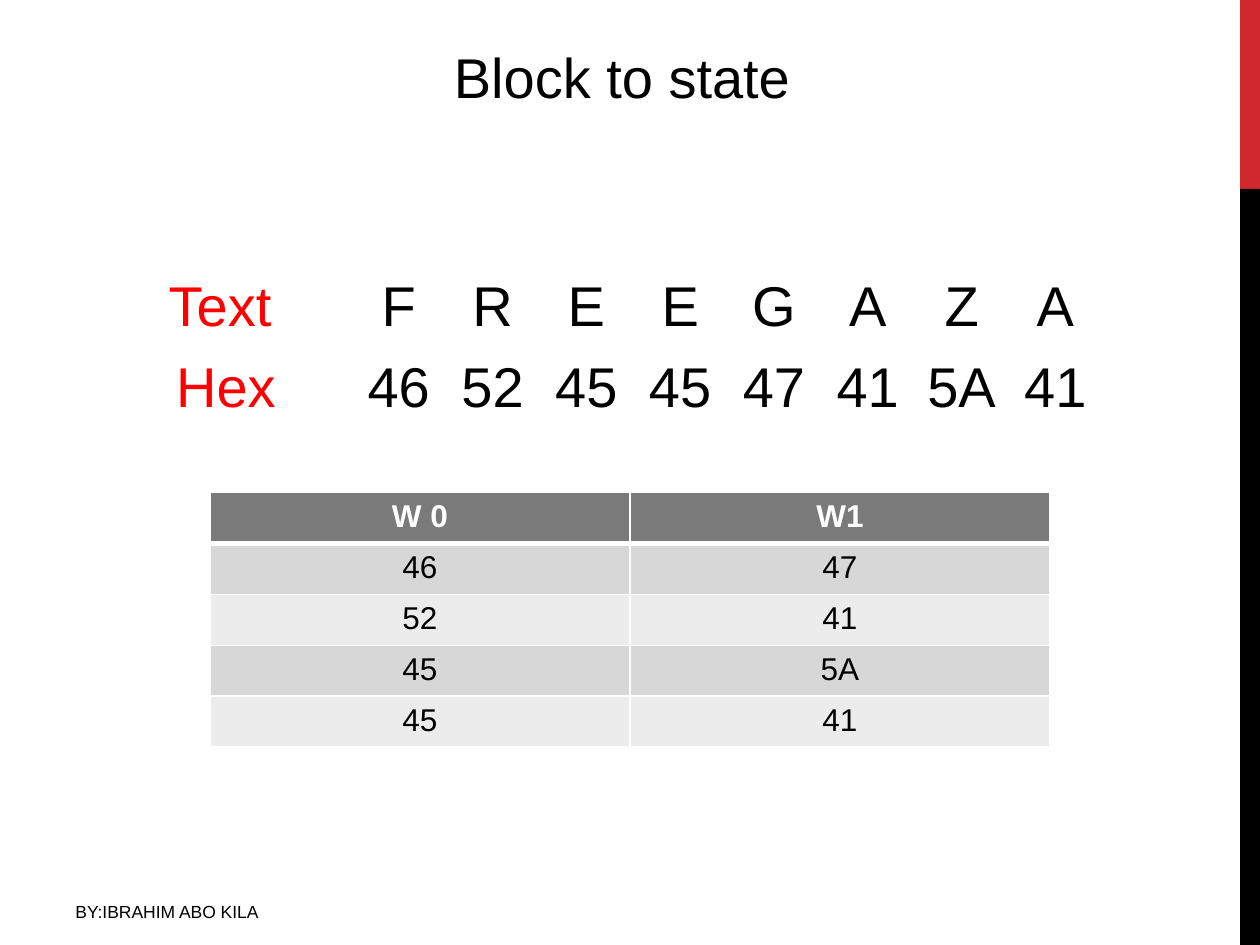
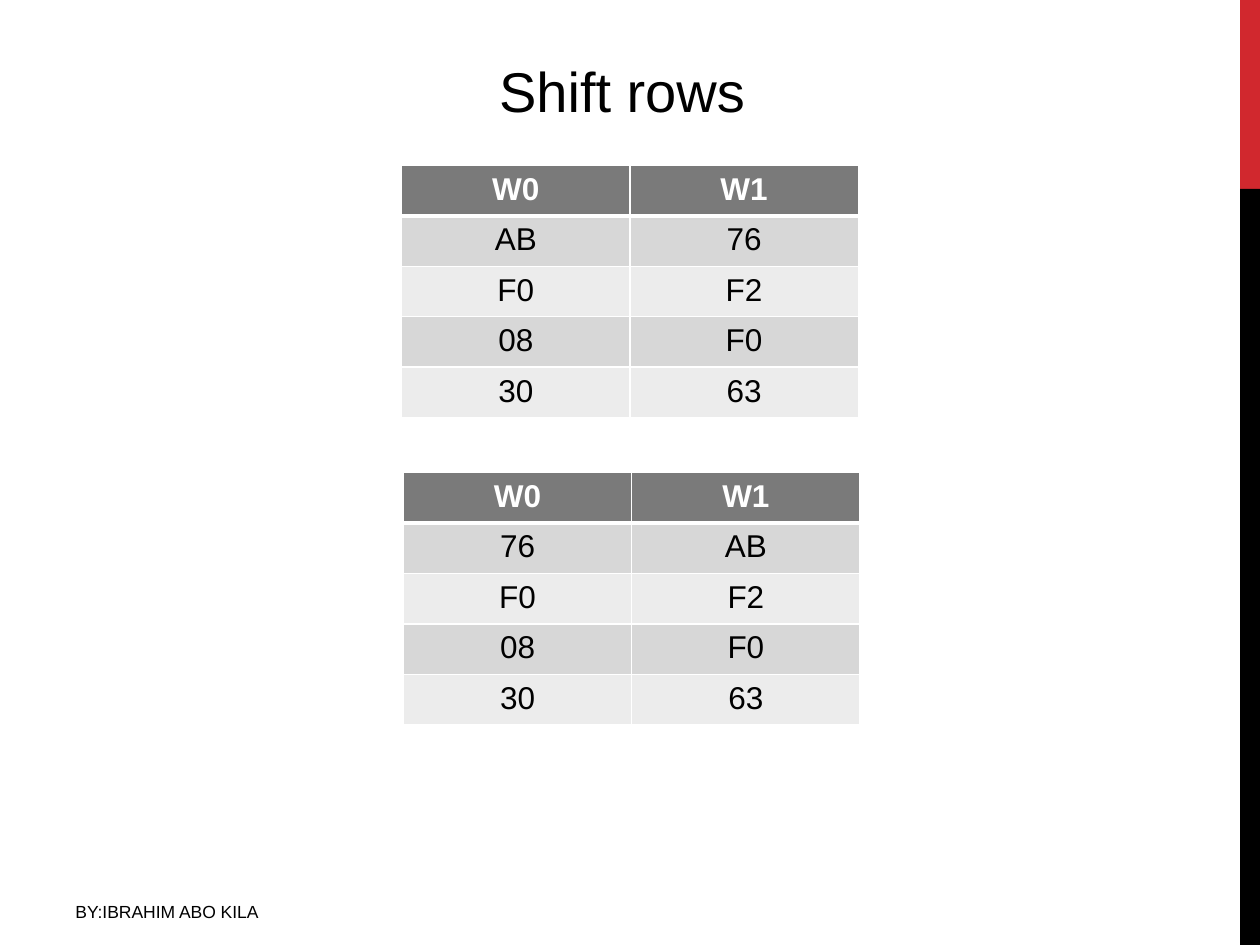
from dataclasses import dataclass

from lxml import etree
from pptx import Presentation
from pptx.dml.color import RGBColor
from pptx.enum import shapes, text
from pptx.oxml import ns
from pptx.util import Pt


@dataclass(frozen=True)
class Theme:
    font: str = "Arial"
    white: str = "FFFFFF"
    black: str = "000000"
    band_red: str = "D1282E"
    label_red: str = "FF0000"
    header: str = "7A7A7A"
    stripes: tuple = ("D7D7D7", "ECECEC")
    big: int = 32
    cell: int = 18
    small: int = 10


T = Theme()

# Content: positions are left, top, width (and row height for tables)
FOOTER = "BY:IBRAHIM ABO KILA"
HEADS = ["W0", "W1"]
SLIDES = [
    {
        "title": ("Block to state ", 20.88),
        "lines": [
            (89.28, 151.2, "Text", list("FREEGAZA")),
            (93.6, 197.28, "Hex", ["46", "52", "45", "45", "47", "41", "5A", "41"]),
        ],
        "tables": [
            ((120, 281.5, 480, 29.1),
             [["W 0", "W1"], ["46", "47"], ["52", "41"], ["45", "5A"], ["45", "41"]]),
        ],
    },
    {
        "title": ("Shift rows ", 28.8),
        "lines": [],
        "tables": [
            ((229.5, 94.5, 261, 28.8),
             [HEADS, ["AB", "76"], ["F0", "F2"], ["08", "F0"], ["30", "63"]]),
            ((230.5, 270, 261, 28.8),
             [HEADS, ["76", "AB"], ["F0", "F2"], ["08", "F0"], ["30", "63"]]),
        ],
    },
]

# Page geometry
PAGE_W, PAGE_H = 720, 540
BAND_X, BAND_SPLIT = 708.7, 108
LINE_H, INSET = 46, 7.2
FIRST_BYTE, BYTE_STEP = 228, 53.6  # centres of the letter and hex columns


def style(r, size, color, bold=False):
    r.font.name, r.font.size, r.font.bold = T.font, Pt(size), bold
    r.font.color.rgb = RGBColor.from_string(color)


def add_text(s, left, top, width, height, content):
    sp = s.shapes.add_textbox(Pt(left), Pt(top), Pt(width), Pt(height))
    sp.text_frame.word_wrap = True
    sp.text_frame.text = content
    return sp.text_frame.paragraphs[0]


def add_frame(s):
    """Side bands and footer shared by every slide."""
    for top, bottom, color in ((0, BAND_SPLIT, T.band_red), (BAND_SPLIT, PAGE_H, T.black)):
        sp = s.shapes.add_shape(shapes.MSO_SHAPE.RECTANGLE, Pt(BAND_X), Pt(top),
                                Pt(PAGE_W - BAND_X), Pt(bottom - top))
        sp.shadow.inherit = False
        sp.fill.solid()
        sp.fill.fore_color.rgb = RGBColor.from_string(color)
        sp.line.fill.background()
    p = add_text(s, 36, 511.5, 270, 22, FOOTER)
    style(p.runs[0], T.small, T.black)


def set_title(s, content, top):
    sp = s.shapes.title
    sp.left, sp.top, sp.width, sp.height = Pt(180), Pt(top), Pt(360), Pt(LINE_H)
    tf = sp.text_frame
    tf.text = content
    tf.vertical_anchor = text.MSO_ANCHOR.TOP
    p = tf.paragraphs[0]
    p.alignment = text.PP_ALIGN.CENTER
    style(p.runs[0], T.big, T.black)


def add_byte_line(s, left, top, label, values):
    """A red label followed by values centred on evenly spaced tab stops."""
    p = add_text(s, left, top, 631 - left, LINE_H, label)
    style(p.runs[0], T.big, T.label_red)
    r = p.add_run()
    r.text = "".join("\t" + value for value in values)
    style(r, T.big, T.black)
    stops = etree.SubElement(p._p.get_or_add_pPr(), ns.qn("a:tabLst"))
    for i in range(len(values)):
        pos = Pt(FIRST_BYTE + i * BYTE_STEP - left - INSET)
        etree.SubElement(stops, ns.qn("a:tab"), pos=str(int(pos)), algn="ctr")


def set_borders(cell, top, bottom):
    tc_pr = cell._tc.get_or_add_tcPr()
    for side, width in (("L", 1), ("R", 1), ("T", top), ("B", bottom)):
        ln = etree.SubElement(tc_pr, ns.qn("a:ln" + side), w=str(int(Pt(width))))
        fill = etree.SubElement(ln, ns.qn("a:solidFill"))
        etree.SubElement(fill, ns.qn("a:srgbClr"), val=T.white)


def add_state_table(s, place, rows):
    left, top, width, row_h = place
    table = s.shapes.add_table(len(rows), len(rows[0]), Pt(left), Pt(top),
                               Pt(width), Pt(row_h * len(rows))).table
    for i, row in enumerate(rows):
        table.rows[i].height = Pt(row_h)
        head = i == 0
        for j, value in enumerate(row):
            cell = table.cell(i, j)
            set_borders(cell, 3 if i == 1 else 1, 3 if head else 1)
            cell.fill.solid()
            color = T.header if head else T.stripes[(i - 1) % 2]
            cell.fill.fore_color.rgb = RGBColor.from_string(color)
            cell.text_frame.text = value
            p = cell.text_frame.paragraphs[0]
            p.alignment = text.PP_ALIGN.CENTER
            style(p.runs[0], T.cell, T.white if head else T.black, bold=head)


def main():
    prs = Presentation()
    prs.slide_width, prs.slide_height = Pt(PAGE_W), Pt(PAGE_H)
    for page in SLIDES:
        s = prs.slides.add_slide(prs.slide_layouts[5])
        add_frame(s)
        set_title(s, *page["title"])
        for line in page["lines"]:
            add_byte_line(s, *line)
        for place, rows in page["tables"]:
            add_state_table(s, place, rows)
    prs.save("out.pptx")


if __name__ == "__main__":
    main()
